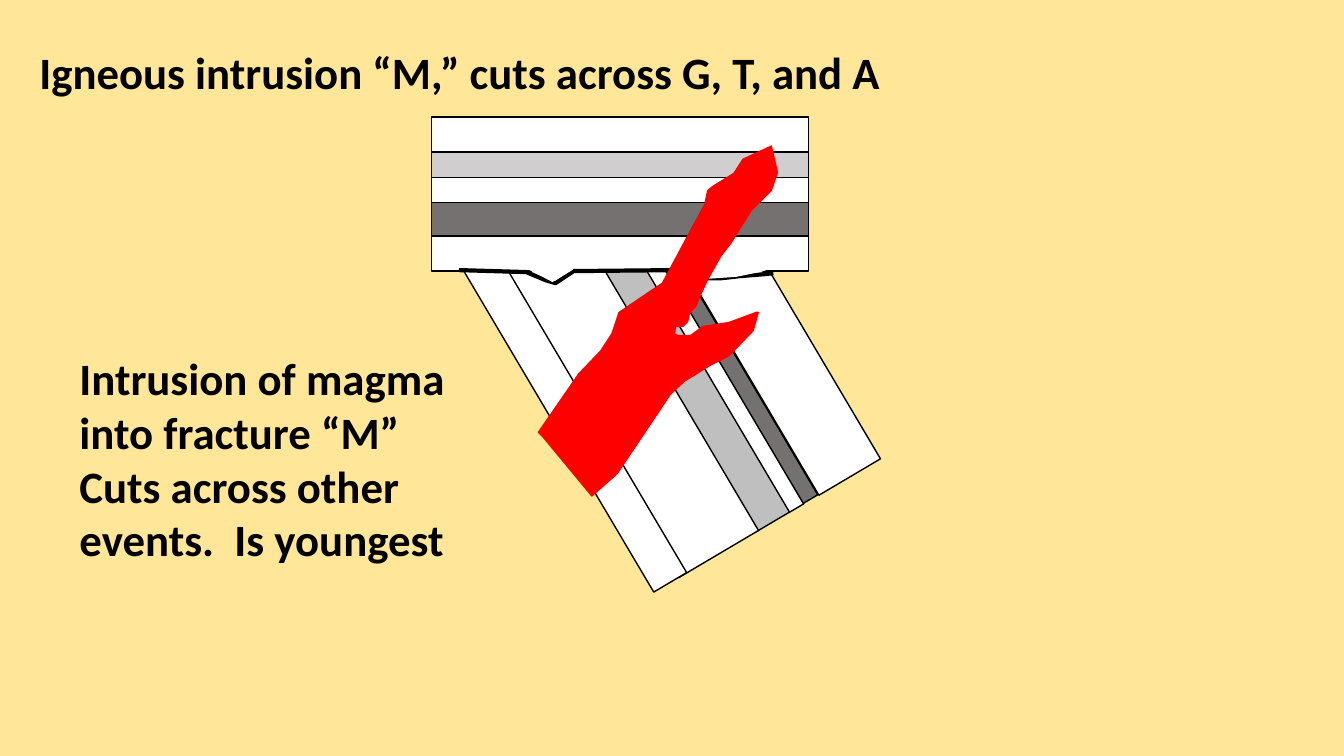
from pptx import Presentation
from pptx.dml.color import RGBColor
from pptx.enum.shapes import MSO_SHAPE
from pptx.enum.text import MSO_ANCHOR, MSO_AUTO_SIZE, PP_ALIGN
from pptx.util import Inches, Pt

RECTANGLE = MSO_SHAPE.RECTANGLE
TOP = MSO_ANCHOR.TOP
GROW = MSO_AUTO_SIZE.SHAPE_TO_FIT_TEXT
LEFT = PP_ALIGN.LEFT

SAND, WHITE, BLACK, RED = "FFE699", "FFFFFF", "000000", "FF0000"
DARK_GREY, MID_GREY, LIGHT_GREY = "767171", "BFBFBF", "D0CECE"


def paint(shape, fill=None, line=None, width=1):
    shape.shadow.inherit = False
    for target, colour in ((shape.fill, fill), (shape.line.fill, line)):
        if colour:
            target.solid()
            target.fore_color.rgb = RGBColor.from_string(colour)
        else:
            target.background()
    if line:
        shape.line.width = Pt(width)


def write(box, lines, size=32, font="Calibri", colour=BLACK, bold=True):
    frame = box.text_frame
    frame.word_wrap = True
    frame.auto_size = GROW
    frame.vertical_anchor = TOP
    frame.text = "\n".join(lines)
    for para in frame.paragraphs:
        para.alignment = LEFT
        para.font.size = Pt(size)
        para.font.name = font
        para.font.bold = bold
        para.font.color.rgb = RGBColor.from_string(colour)


deck = Presentation()
deck.slide_width, deck.slide_height = Inches(13.33), Inches(7.5)
page = deck.slides.add_slide(deck.slide_layouts[5])
page.background.fill.solid()
page.background.fill.fore_color.rgb = RGBColor.from_string(SAND)

# Explanation
note = page.shapes.add_textbox(Inches(0.69), Inches(3.43), Inches(4.07), Inches(2.26))
write(note, ["Intrusion of magma into fracture “M”",
             "Cuts across other events.  Is youngest"])

# Rock layers: left, top, thickness, fill
tilted_layers = [
    (5.1, 2.48, 0.71, WHITE),
    (4.71, 2.97, 0.17, DARK_GREY),
    (4.57, 3.06, 0.17, WHITE),
    (4.34, 3.09, 0.38, MID_GREY),
    (3.8, 3.14, 0.92, WHITE),
    (3.32, 3.69, 0.38, WHITE),
]
flat_layers = [
    (4.28, 1.16, 0.35, WHITE),
    (4.28, 1.51, 0.25, LIGHT_GREY),
    (4.28, 1.76, 0.25, WHITE),
    (4.28, 2.01, 0.34, DARK_GREY),
    (4.28, 2.34, 0.35, WHITE),
]

# Outlines: points, closed, format
eroded_top = ([
    (4.5, 2.68), (4.98, 2.65), (5.05, 2.65), (5.28, 2.73), (5.43, 2.8),
    (5.6, 2.72), (5.72, 2.66), (6.57, 2.67), (6.76, 2.66), (6.84, 2.71),
    (7.52, 2.71), (7.67, 2.7), (7.82, 2.67), (7.71, 0.56), (4.05, 0.6),
    (4.09, 2.6), (4.54, 2.72),
], True, dict(fill=SAND))
erosion_line = ([
    (4.55, 2.68), (5.22, 2.7), (5.41, 2.78), (5.51, 2.81), (5.69, 2.69),
    (6.72, 2.68), (6.92, 2.75), (7.02, 2.76), (7.16, 2.76), (7.34, 2.74),
    (7.59, 2.72), (7.67, 2.71),
], False, dict(line=BLACK, width=3))
left_hollow = ([(5.21, 2.65), (5.48, 2.79), (5.68, 2.67)], True,
               dict(fill=WHITE, line=WHITE))
right_hollow = ([(6.68, 2.62), (7.01, 2.76), (7.3, 2.74), (7.55, 2.69), (7.61, 2.67)],
                True, dict(fill=WHITE, line=WHITE))
intrusion = ([
    (5.34, 4.29), (5.74, 3.71), (5.96, 3.48), (6.07, 3.31), (6.14, 3.1),
    (6.57, 2.81), (6.87, 2.25), (6.99, 2.03), (7.02, 1.89), (7.07, 1.85),
    (7.28, 1.72), (7.37, 1.58), (7.65, 1.45), (7.71, 1.71), (7.65, 1.89),
    (7.45, 2.09), (7.25, 2.41), (7.15, 2.54), (7.02, 2.77), (6.95, 2.92),
    (6.9, 3.04), (6.84, 3.1), (6.82, 3.19), (6.77, 3.24), (6.7, 3.24),
    (6.69, 3.31), (6.72, 3.33), (6.85, 3.33), (6.97, 3.24), (7.23, 3.2),
    (7.5, 3.1), (7.52, 3.1), (7.47, 3.28), (7.23, 3.53), (7.05, 3.62),
    (6.79, 3.78), (6.65, 3.91), (6.12, 4.7), (5.87, 4.92), (5.39, 4.34),
], True, dict(fill=RED, line=RED))

# Cross-section, built from the oldest event to the youngest
stages = [
    (tilted_layers, 4.41, 59.4, [eroded_top]),
    (flat_layers, 3.74, 0, [erosion_line, left_hollow, right_hollow, intrusion]),
]
for layers, length, angle, outlines in stages:
    for left, top, thickness, fill in layers:
        layer = page.shapes.add_shape(RECTANGLE, Inches(left), Inches(top),
                                      Inches(length), Inches(thickness))
        layer.rotation = angle
        paint(layer, fill=fill, line=BLACK)
    for points, closed, look in outlines:
        corners = [(Inches(x), Inches(y)) for x, y in points]
        builder = page.shapes.build_freeform(*corners[0])
        builder.add_line_segments(corners[1:], close=closed)
        paint(builder.convert_to_shape(), **look)

# Title, brought in front of the eroded area
title = page.shapes.title
title.left, title.top = Inches(0.29), Inches(0.39)
title.width, title.height = Inches(8.88), Inches(0.64)
write(title, ["Igneous intrusion “M,” cuts across G, T, and A"])
title.element.getparent().append(title.element)

deck.save("out.pptx")
